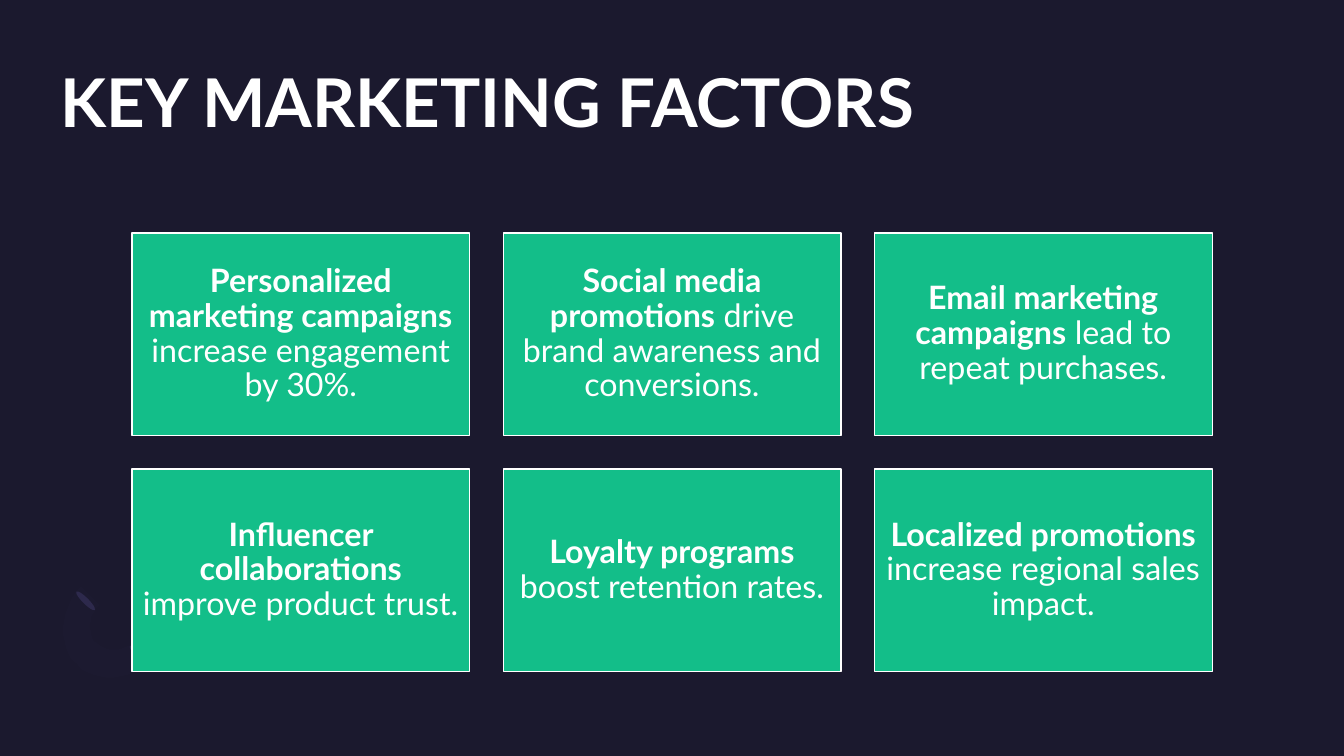
from dataclasses import dataclass

from lxml import etree
from pptx import Presentation
from pptx.dml.color import RGBColor
from pptx.enum.shapes import MSO_SHAPE
from pptx.enum.text import MSO_ANCHOR, PP_ALIGN
from pptx.oxml.ns import qn
from pptx.util import Pt

RECTANGLE, OVAL = MSO_SHAPE.RECTANGLE, MSO_SHAPE.OVAL
TOP, MIDDLE = MSO_ANCHOR.TOP, MSO_ANCHOR.MIDDLE
LEFT, CENTER = PP_ALIGN.LEFT, PP_ALIGN.CENTER

NAVY, GREEN, WHITE = "1B192E", "13BE89", "FFFFFF"
INDIGO, LILAC = "2C284A", "7771B2"
FONT = "Lato"

# Card grid, in points
COLUMNS = 3
GRID_LEFT, GRID_TOP = 94.3, 166.4
CARD_WIDTH, CARD_HEIGHT, GAP = 241.2, 144.7, 24


@dataclass
class Factor:
    lead: str
    rest: str


@dataclass
class Petal:
    left: float
    top: float


FACTORS = [
    Factor("Personalized marketing campaigns", " increase engagement by 30%."),
    Factor("Social media promotions", " drive brand awareness and conversions."),
    Factor("Email marketing campaigns", " lead to repeat purchases."),
    Factor("Influencer collaborations", " improve product trust."),
    Factor("Loyalty programs", " boost retention rates."),
    Factor("Localized promotions", " increase regional sales impact."),
]
PETALS = [Petal(97.2, 458.6), Petal(59, 419.8)]

# Crescent: outer arc, then inner arc back, as cubic curves
CRESCENT_START = (54.7, 474.5)
OUTER_ARC = [(40.3, 460.1), (41.8, 435.6), (58.3, 419)]
INNER_ARCS = [
    [(71.3, 432), (62.6, 439.9), (61.9, 452.9), (69.1, 459.4)],
    [(69.1, 459.4), (76.3, 466.6), (88.6, 465.8), (97.2, 457.9)],
]
CLOSING_ARC = [(109.4, 470.9), (93.6, 486.7), (68.4, 488.9), CRESCENT_START]


def color(value: str) -> RGBColor:
    return RGBColor.from_string(value)


def paint(shape, fill: str, line: str | None = None) -> None:
    shape.shadow.inherit = False
    shape.fill.solid()
    shape.fill.fore_color.rgb = color(fill)
    if line:
        shape.line.color.rgb = color(line)
        shape.line.width = Pt(1)
    else:
        shape.line.fill.background()


def write(box, spans: list[tuple[str, bool]], *, size: float, align=LEFT,
          anchor=TOP, inset: float = 0, spacing: float = 1) -> None:
    frame = box.text_frame
    frame.word_wrap = True
    frame.vertical_anchor = anchor
    frame.margin_left = frame.margin_right = Pt(inset)
    frame.margin_top = frame.margin_bottom = Pt(inset)
    para = frame.paragraphs[0]
    para.alignment = align
    para.line_spacing = spacing
    for text, bold in spans:
        span = para.add_run()
        span.text = text
        span.font.name = FONT
        span.font.size = Pt(size)
        span.font.bold = bold
        span.font.color.rgb = color(WHITE)


def curve(points: list[tuple[float, float]], steps: int = 12) -> list[tuple[float, float]]:
    """Points along a cubic curve, without its first point."""
    weights = (1, 3, 3, 1)
    return [
        tuple(sum(weight * (1 - step / steps) ** (3 - i) * (step / steps) ** i * point[axis]
                  for i, (weight, point) in enumerate(zip(weights, points)))
              for axis in (0, 1))
        for step in range(1, steps + 1)
    ]


def draw_ornament(page) -> None:
    for petal in PETALS:
        oval = page.shapes.add_shape(OVAL, Pt(petal.left), Pt(petal.top), Pt(4.3), Pt(18.7))
        oval.rotation = 135
        paint(oval, INDIGO)

    outline = curve([CRESCENT_START, *OUTER_ARC])
    for arc in INNER_ARCS:
        outline += [arc[0], *curve(arc)]
    outline += curve([INNER_ARCS[-1][-1], *CLOSING_ARC[:1], *CLOSING_ARC[:1], CLOSING_ARC[0]], 1)
    outline += curve(CLOSING_ARC)
    builder = page.shapes.build_freeform(*CRESCENT_START, scale=Pt(1))
    builder.add_line_segments(outline, close=True)
    crescent = builder.convert_to_shape()
    paint(crescent, LILAC)
    tint = crescent.fill._xPr.find(qn("a:solidFill"))[0]
    etree.SubElement(tint, qn("a:alpha")).set("val", "2000")


def draw_card(page, index: int, factor: Factor) -> None:
    row, column = divmod(index, COLUMNS)
    card = page.shapes.add_shape(
        RECTANGLE,
        Pt(GRID_LEFT + column * (CARD_WIDTH + GAP)),
        Pt(GRID_TOP + row * (CARD_HEIGHT + GAP)),
        Pt(CARD_WIDTH), Pt(CARD_HEIGHT))
    paint(card, GREEN, WHITE)
    write(card, [(factor.lead, True), (factor.rest, False)], size=23,
          align=CENTER, anchor=MIDDLE, inset=7.2, spacing=0.9)


def main() -> None:
    deck = Presentation()
    deck.slide_width, deck.slide_height = Pt(960), Pt(540)
    page = deck.slides.add_slide(deck.slide_layouts[6])
    page.background.fill.solid()
    page.background.fill.fore_color.rgb = color(NAVY)

    draw_ornament(page)

    # Title
    title = page.shapes.add_textbox(Pt(43.2), Pt(43.2), Pt(873.4), Pt(105.1))
    write(title, [("KEY MARKETING FACTORS", True)], size=48)

    # Cards
    for index, factor in enumerate(FACTORS):
        draw_card(page, index, factor)

    deck.save("out.pptx")


if __name__ == "__main__":
    main()
